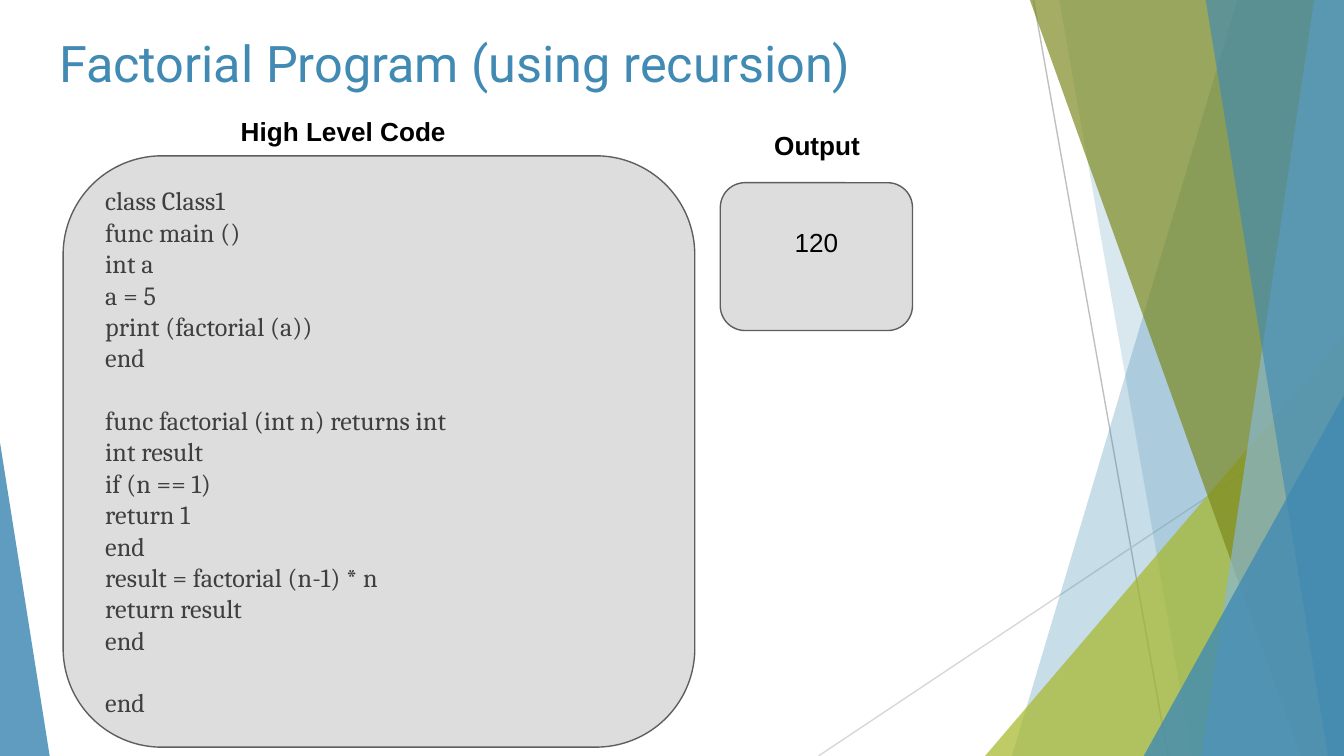
from dataclasses import dataclass

import pptx
import pptx.dml.color
import pptx.enum.shapes
import pptx.enum.text
import pptx.oxml
import pptx.oxml.ns
import pptx.util
from pptx.util import Inches

WIDTH = 10
HEIGHT = WIDTH * 9 / 16
BLUE, GREEN, OLIVE, PALE = "418AB3", "A6B727", "7C891D", "89B8D4"
SHAPES = pptx.enum.shapes.MSO_SHAPE
ANCHOR = pptx.enum.text.MSO_ANCHOR
ALIGN = pptx.enum.text.PP_ALIGN


@dataclass
class Ray:
    start: tuple[float, float]
    end: tuple[float, float]
    color: str


@dataclass
class Band:
    """Slanted left edge, filled to the right edge of the slide."""
    top_x: float
    bottom_x: float
    color: str
    opacity: int


@dataclass
class Corner:
    """Right triangle standing on the bottom of the slide."""
    left: float
    top: float
    width: float
    peak: int
    color: str
    opacity: int


RAYS = [
    Ray((7.69, 0), (8.69, HEIGHT), "BFBFBF"),
    Ray((10, 3.02), (6.09, HEIGHT), "D8D8D8"),
]
FACETS = [
    Band(9.21, 7.53, BLUE, 29),
    Band(7.88, 8.87, BLUE, 20),
    Corner(7.33, 2.5, 2.67, 1, GREEN, 71),
    Band(7.66, 9.68, OLIVE, 69),
    Band(9.78, 8.94, PALE, 69),
    Band(8.97, 9.88, BLUE, 64),
    Corner(8.51, 2.94, 1.49, 1, BLUE, 80),
    Corner(0, 3.29, 0.37, 0, BLUE, 84),
]
# Blocks of code, set apart by one line of space
CODE_BLOCKS = [
    ["class Class1", "func main ()", "int a", "a = 5", "print (factorial (a))", "end"],
    ["func factorial (int n) returns int", "int result", "if (n == 1)", "return 1",
     "end", "result = factorial (n-1) * n", "return result", "end"],
    ["end"],
]


def rgb(color: str) -> pptx.dml.color.RGBColor:
    return pptx.dml.color.RGBColor.from_string(color)


def paint(shape, color: str, opacity: int = 100, outline: str | None = None) -> None:
    shape.shadow.inherit = False
    shape.fill.solid()
    shape.fill.fore_color.rgb = rgb(color)
    if opacity < 100:
        choice = shape.element.spPr.find(".//" + pptx.oxml.ns.qn("a:srgbClr"))
        choice.append(pptx.oxml.parse_xml(
            f'<a:alpha {pptx.oxml.ns.nsdecls("a")} val="{opacity * 1000}"/>'))
    if outline:
        shape.line.color.rgb = rgb(outline)
        shape.line.width = pptx.util.Pt(0.75)
    else:
        shape.line.fill.background()


def draw_ray(page, ray: Ray) -> None:
    line = page.shapes.add_connector(
        pptx.enum.shapes.MSO_CONNECTOR.STRAIGHT,
        *map(Inches, ray.start + ray.end))
    line.line.color.rgb = rgb(ray.color)
    line.line.width = pptx.util.Pt(0.75)
    line.element.spPr.append(pptx.oxml.parse_xml(
        f'<a:effectLst {pptx.oxml.ns.nsdecls("a")}/>'))


def draw_facet(page, facet: Band | Corner) -> None:
    if isinstance(facet, Band):
        corners = [(facet.top_x, -0.01), (WIDTH, -0.01),
                   (WIDTH, HEIGHT), (facet.bottom_x, HEIGHT)]
        points = [(Inches(x), Inches(y)) for x, y in corners]
        builder = page.shapes.build_freeform(*points[0])
        builder.add_line_segments(points[1:], close=True)
        shape = builder.convert_to_shape()
    else:
        shape = page.shapes.add_shape(
            SHAPES.ISOSCELES_TRIANGLE, Inches(facet.left), Inches(facet.top),
            Inches(facet.width), Inches(HEIGHT - facet.top))
        shape.adjustments[0] = facet.peak
    paint(shape, facet.color, facet.opacity)


def set_frame(box, anchor, bottom: float = 0.1) -> None:
    frame = box.text_frame
    frame.word_wrap = True
    frame.auto_size = pptx.enum.text.MSO_AUTO_SIZE.NONE
    frame.vertical_anchor = anchor
    frame.margin_left = frame.margin_right = frame.margin_top = Inches(0.1)
    frame.margin_bottom = Inches(bottom)


def write(para, text: str, *, font: str = "Arial", size: float = 14,
          color: str = "000000", bold: bool = False, align=ALIGN.CENTER,
          before: float = 0) -> None:
    para.alignment = align
    para.space_before = pptx.util.Pt(before)
    span = para.add_run()
    span.text = text
    span.font.name = font
    span.font.size = pptx.util.Pt(size)
    span.font.bold = bold
    span.font.color.rgb = rgb(color)


def add_label(page, text: str, left: float, top: float, width: float) -> None:
    box = page.shapes.add_textbox(
        Inches(left), Inches(top), Inches(width), Inches(0.4))
    set_frame(box, ANCHOR.TOP)
    write(box.text_frame.paragraphs[0], text, bold=True)


def add_panel(page, left: float, top: float, width: float, height: float,
              bottom: float = 0.1):
    panel = page.shapes.add_shape(
        SHAPES.ROUNDED_RECTANGLE, *map(Inches, (left, top, width, height)))
    panel.adjustments[0] = 0.167
    paint(panel, "DDDDDD", outline="5E5E5E")
    set_frame(panel, ANCHOR.MIDDLE, bottom)
    return panel.text_frame


def main() -> None:
    deck = pptx.Presentation()
    deck.slide_width, deck.slide_height = Inches(WIDTH), Inches(HEIGHT)
    page = deck.slides.add_slide(deck.slide_layouts[5])

    # Background decoration
    for ray in RAYS:
        draw_ray(page, ray)
    for facet in FACETS:
        draw_facet(page, facet)

    # Title, brought in front of the decoration
    title = page.shapes.title
    title.element.getparent().append(title.element)
    title.left, title.top = Inches(0.34), Inches(0.14)
    title.width, title.height = Inches(9.32), Inches(0.63)
    set_frame(title, ANCHOR.TOP)
    write(title.text_frame.paragraphs[0], "Factorial Program (using recursion)",
          font="Roboto", size=27, color=BLUE, align=ALIGN.LEFT)

    # Headings
    add_label(page, "High Level Code", 1.14, 0.76, 2.83)
    add_label(page, "Output", 5.2, 0.86, 1.76)

    # Code listing
    frame = add_panel(page, 0.47, 1.16, 4.7, 4.4)
    para = frame.paragraphs[0]
    for block_index, block in enumerate(CODE_BLOCKS):
        for line_index, line in enumerate(block):
            if block_index or line_index:
                para = frame.add_paragraph()
            gap = 16.8 if block_index and not line_index else 0
            write(para, line, font="Cambria", color="3F3F3F",
                  align=ALIGN.LEFT, before=gap)

    # Program output, raised above the middle by half a line
    frame = add_panel(page, 5.36, 1.36, 1.43, 1.1, bottom=0.32)
    write(frame.paragraphs[0], "120")

    deck.save("out.pptx")


if __name__ == "__main__":
    main()
